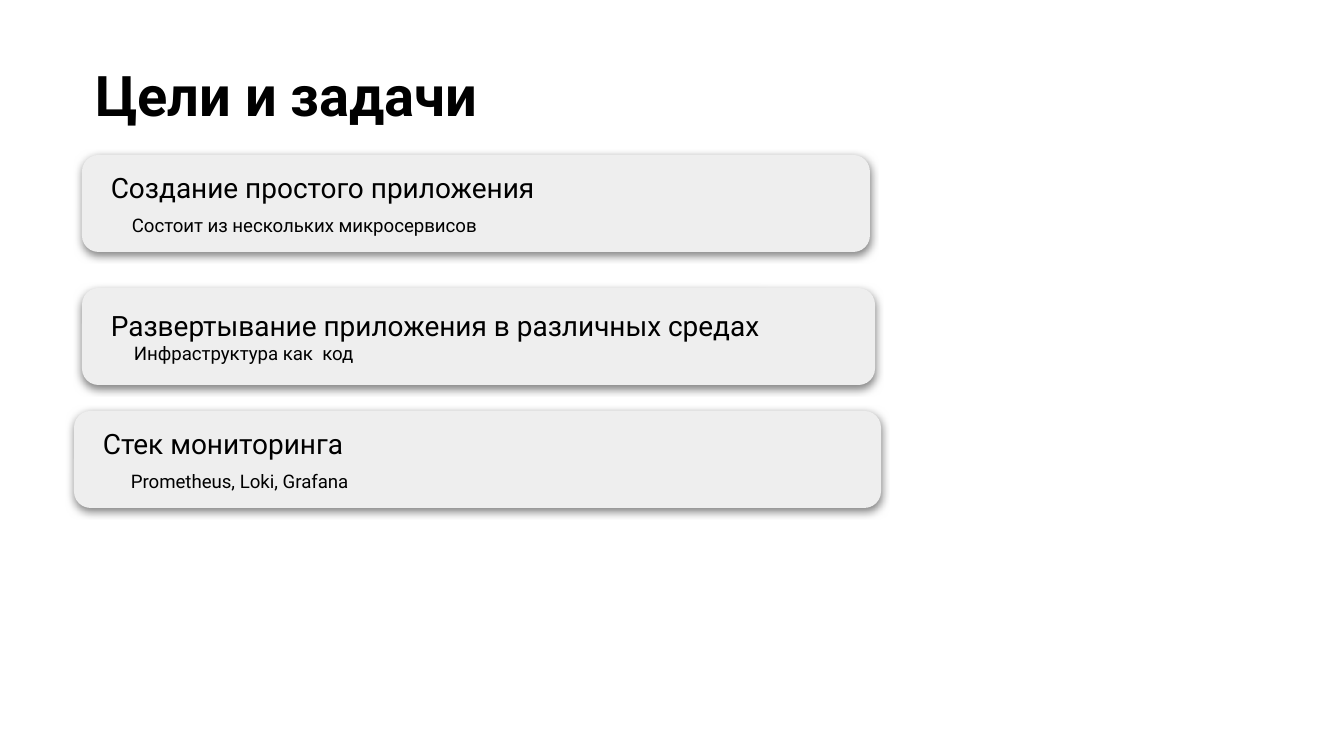
from lxml.etree import SubElement
from pptx import Presentation
from pptx.dml.color import RGBColor
from pptx.enum.shapes import MSO_SHAPE
from pptx.enum.text import MSO_ANCHOR, PP_ALIGN
from pptx.oxml.ns import qn
from pptx.util import Pt

PX = 914400 / 134.4
BLACK = RGBColor(0, 0, 0)
CARD_GREY = RGBColor(0xEE, 0xEE, 0xEE)


def px(length):
    return round(length * PX)


def write(paragraph, text, size, bold=False, indent=0, before=0):
    properties = paragraph._p.get_or_add_pPr()
    properties.set("marL", str(px(indent)))
    properties.set("indent", "0")
    paragraph.alignment = PP_ALIGN.LEFT
    paragraph.space_before = Pt(before)
    run = paragraph.add_run()
    run.text = text
    run.font.name = "Roboto"
    run.font.size = Pt(size)
    run.font.bold = bold
    run.font.color.rgb = BLACK


def add_shadow(shape):
    shape.shadow.inherit = False
    effects = shape._element.spPr.find(qn("a:effectLst"))
    shadow = SubElement(effects, qn("a:outerShdw"), blurRad=str(Pt(4.5)),
                        dist=str(Pt(1.5)), dir="5400000", algn="bl", rotWithShape="0")
    color = SubElement(shadow, qn("a:srgbClr"), val="000000")
    SubElement(color, qn("a:alpha"), val="50000")


presentation = Presentation()
presentation.slide_width = px(1344)
presentation.slide_height = px(756)
slide = presentation.slides.add_slide(presentation.slide_layouts[6])

title = slide.shapes.add_textbox(px(82), px(48), px(758), px(108))
frame = title.text_frame
frame.word_wrap = True
frame.margin_left = frame.margin_right = px(13)
frame.margin_top = frame.margin_bottom = px(13)
write(frame.paragraphs[0], "Цели и задачи", size=30, bold=True)

cards = [
    (82, 155, 788, "Создание простого приложения",
     "Состоит из нескольких микросервисов", 21, 5),
    (82, 288, 793, "Развертывание приложения в различных средах",
     "Инфраструктура как  код", 23, 0),
    (74, 411, 807, "Cтек мониторинга", "Prometheus, Loki, Grafana", 28, 5),
]
for left, top, width, heading, detail, indent, before in cards:
    card = slide.shapes.add_shape(MSO_SHAPE.ROUNDED_RECTANGLE,
                                  px(left), px(top), px(width), px(97))
    card.adjustments[0] = 0.17
    card.fill.solid()
    card.fill.fore_color.rgb = CARD_GREY
    card.line.fill.background()
    add_shadow(card)
    frame = card.text_frame
    frame.word_wrap = True
    frame.vertical_anchor = MSO_ANCHOR.MIDDLE
    frame.margin_left = frame.margin_right = px(24)
    frame.margin_top = frame.margin_bottom = px(13)
    write(frame.paragraphs[0], heading, size=15)
    write(frame.add_paragraph(), detail, size=10, indent=indent, before=before)

presentation.save("out.pptx")
